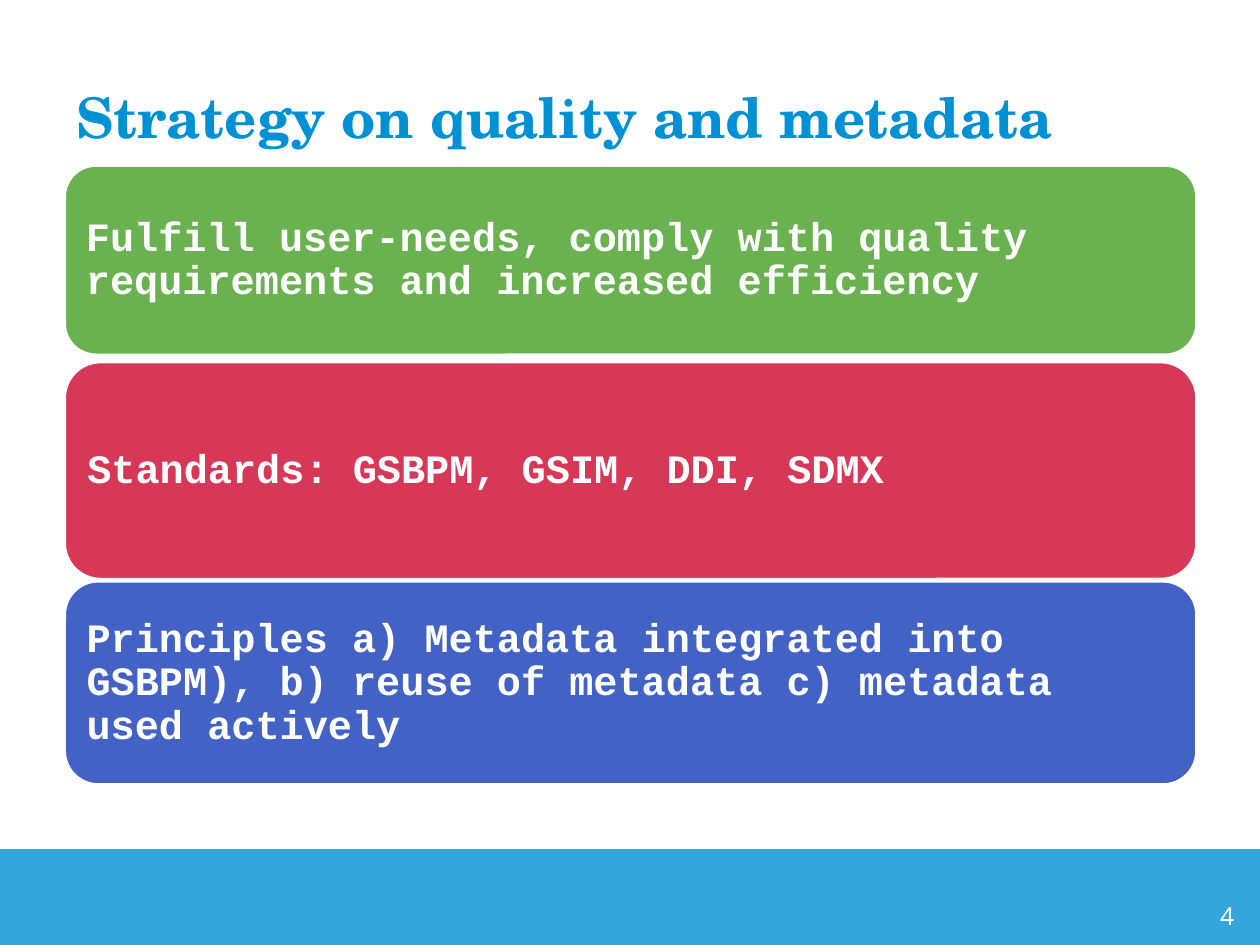
from lxml.etree import SubElement
from pptx import Presentation
from pptx.dml.color import RGBColor
from pptx.enum.shapes import MSO_SHAPE
from pptx.enum.text import MSO_ANCHOR, PP_ALIGN
from pptx.oxml.ns import qn
from pptx.util import Inches, Pt


def color(value):
    return RGBColor.from_string(value)


def write(box, text, font, size, fill, bold, inset, align=PP_ALIGN.LEFT):
    """Fill a box with one vertically centred paragraph and return it."""
    frame = box.text_frame
    frame.word_wrap = True
    frame.vertical_anchor = MSO_ANCHOR.MIDDLE
    frame.margin_left = frame.margin_right = Inches(inset)
    frame.margin_top = frame.margin_bottom = Inches(inset)
    paragraph = frame.paragraphs[0]
    paragraph.alignment = align
    span = paragraph.add_run()
    span.text = text
    span.font.name = font
    span.font.size = Pt(size)
    span.font.bold = bold
    span.font.color.rgb = color(fill)
    return paragraph


deck = Presentation()
deck.slide_width, deck.slide_height = Inches(10), Inches(7.5)
page = deck.slides.add_slide(deck.slide_layouts[6])

# Translucent footer band
footer = page.shapes.add_shape(
    MSO_SHAPE.RECTANGLE, Inches(-0.01), Inches(6.74), Inches(10.01), Inches(0.76))
footer.shadow.inherit = False
footer.fill.solid()
footer.fill.fore_color.rgb = color("0091D4")
footer.line.fill.background()
footer_color = footer.fill._xPr.find(qn("a:solidFill"))[0]
SubElement(footer_color, qn("a:alpha"), val="80000")

# Strategy panels: top, height, fill, text
panels = [
    (1.31, 1.51, "6AB24F",
     "Fulfill user-needs, comply with quality requirements and increased efficiency"),
    (2.87, 1.73, "D73858", "Standards: GSBPM, GSIM, DDI, SDMX"),
    (4.61, 1.62, "4362C5",
     "Principles a) Metadata integrated into GSBPM), b) reuse of metadata "
     "c) metadata used actively"),
]
for top, height, fill, text in panels:
    panel = page.shapes.add_shape(
        MSO_SHAPE.ROUNDED_RECTANGLE, Inches(0.51), Inches(top), Inches(8.99), Inches(height))
    panel.shadow.inherit = False
    panel.fill.solid()
    panel.fill.fore_color.rgb = color(fill)
    panel.line.color.rgb = color("FFFFFF")
    panel.line.width = Pt(2)
    paragraph = write(panel, text, "Courier New", 23, "FFFFFF", True, 0.1)
    paragraph.line_spacing = 0.9

title = page.shapes.add_textbox(Inches(0.51), Inches(0.3), Inches(8.98), Inches(1.25))
write(title, "Strategy on quality and metadata", "TeX Gyre Schola", 32, "0091D4", True, 0.1)

page_number = page.shapes.add_textbox(Inches(9.51), Inches(7.12), Inches(0.46), Inches(0.3))
write(page_number, "4", "Noto Sans", 14, "FFFFFF", False, 0, PP_ALIGN.CENTER)

deck.save("out.pptx")
